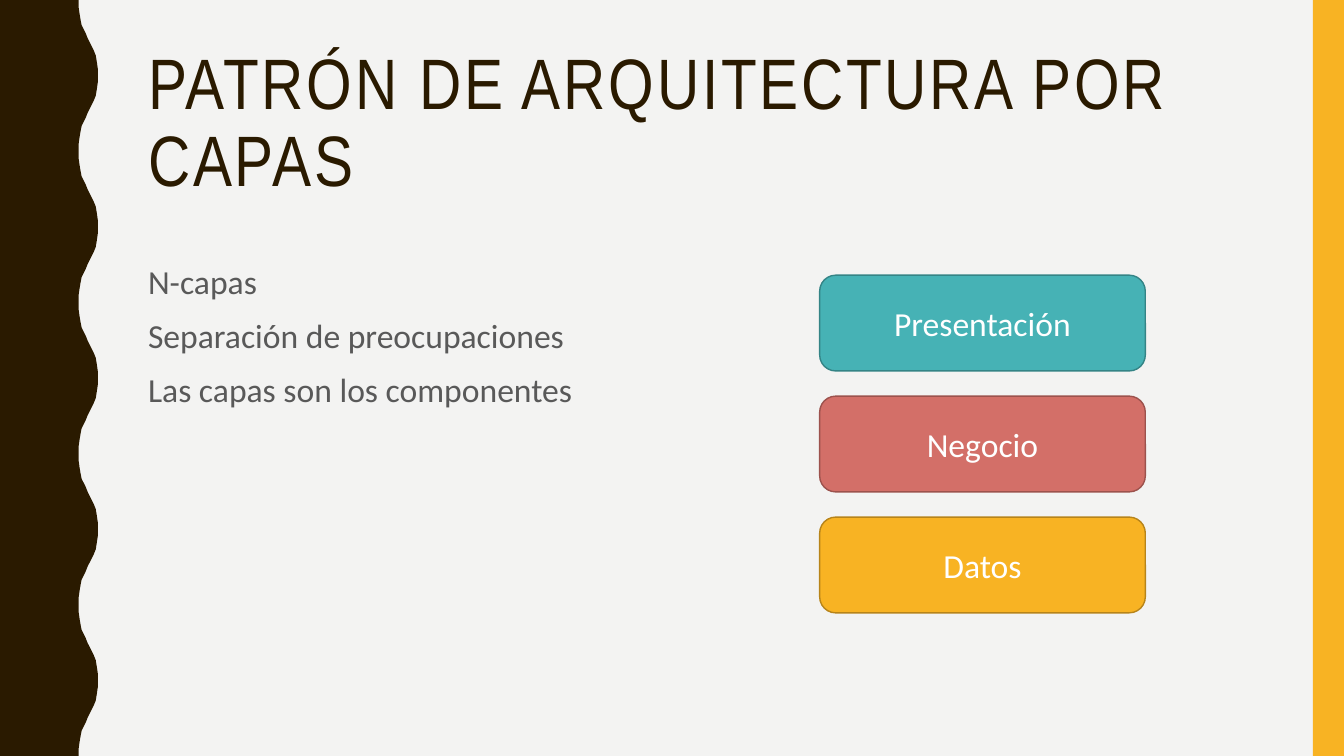
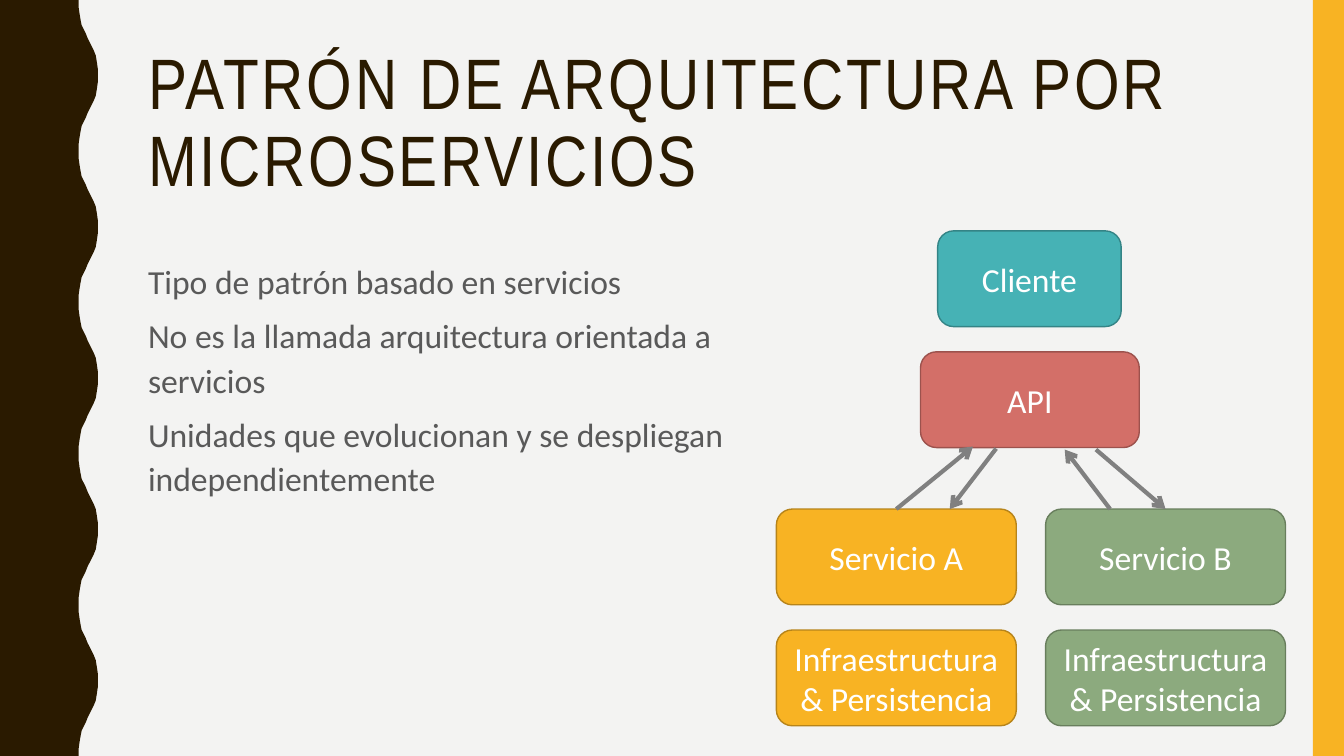
import pptx
import pptx.dml.color
import pptx.enum.shapes
import pptx.enum.text
import pptx.oxml
import pptx.oxml.ns
import pptx.util
from lxml import etree

Inches = pptx.util.Inches
Pt = pptx.util.Pt
RGBColor = pptx.dml.color.RGBColor
Shape = pptx.enum.shapes.MSO_SHAPE
Anchor = pptx.enum.text.MSO_ANCHOR
Align = pptx.enum.text.PP_ALIGN
qn = pptx.oxml.ns.qn

BROWN = RGBColor(0x2A, 0x1A, 0x00)
PAPER = RGBColor(0xF3, 0xF3, 0xF2)
TEXT_GRAY = RGBColor(0x59, 0x59, 0x59)
ARROW_GRAY = RGBColor(0x80, 0x80, 0x80)
WHITE = RGBColor(0xFF, 0xFF, 0xFF)
YELLOW = RGBColor(0xF8, 0xB3, 0x23)
YELLOW_EDGE = RGBColor(0xB7, 0x84, 0x1A)
TEAL = RGBColor(0x46, 0xB2, 0xB5)
TEAL_EDGE = RGBColor(0x34, 0x84, 0x86)
RED = RGBColor(0xD3, 0x6F, 0x68)
RED_EDGE = RGBColor(0x9C, 0x52, 0x4D)
GREEN = RGBColor(0x8C, 0xAA, 0x7E)
GREEN_EDGE = RGBColor(0x68, 0x7E, 0x5D)

HEIGHT = 7.5
BOX_HEIGHT = 0.95
WAVE_PERIOD = 1.5
# Outward half of one wave, as (x, y); the other half mirrors it.
WAVE_HALF = [
    (0.78, 0), (0.78, 0.07), (0.79, 0.14), (0.8, 0.2), (0.81, 0.25),
    (0.83, 0.29), (0.85, 0.33), (0.87, 0.38), (0.89, 0.42), (0.91, 0.46),
    (0.93, 0.5), (0.95, 0.55), (0.96, 0.61), (0.97, 0.68), (0.97, 0.75),
]
wave = WAVE_HALF + [(x, WAVE_PERIOD - y) for x, y in reversed(WAVE_HALF[:-1])]
edge = [
    (Inches(x), Inches(y + period * WAVE_PERIOD))
    for period in range(round(HEIGHT / WAVE_PERIOD))
    for x, y in wave
]

TITLE_STYLE = {
    "frame": {"vertical_anchor": Anchor.MIDDLE},
    "para": {"alignment": Align.LEFT, "line_spacing": 0.9},
    "font": {"name": "Arial Narrow", "size": Pt(51)},
    "color": {"rgb": BROWN},
}
BODY_STYLE = {
    "frame": {"vertical_anchor": Anchor.TOP},
    "para": {"alignment": Align.LEFT, "line_spacing": 1.1, "space_before": Pt(7)},
    "font": {"name": "Calibri", "size": Pt(24)},
    "color": {"rgb": TEXT_GRAY},
}
BOX_STYLE = {
    "frame": {"vertical_anchor": Anchor.MIDDLE},
    "para": {"alignment": Align.CENTER},
    "font": {"name": "Calibri", "size": Pt(24)},
    "color": {"rgb": WHITE},
}

# Boxes: text, left, top, width, fill, edge. Arrows: from x, from y, to x, to y.
PAGES = [
    {
        "title": "PATRÓN DE ARQUITECTURA POR CAPAS",
        "body_width": 5.61,
        "body": [
            "N-capas",
            "Separación de preocupaciones",
            "Las capas son los componentes",
        ],
        "boxes": [
            ("Presentación", 8.13, 2.73, 3.23, TEAL, TEAL_EDGE),
            ("Negocio", 8.13, 3.93, 3.23, RED, RED_EDGE),
            ("Datos", 8.13, 5.13, 3.23, YELLOW, YELLOW_EDGE),
        ],
        "arrows": [],
    },
    {
        "title": "PATRÓN DE ARQUITECTURA POR MICROSERVICIOS",
        "body_width": 6.33,
        "body": [
            "Tipo de patrón basado en servicios",
            "No es la llamada arquitectura orientada a servicios",
            "Unidades que evolucionan y se despliegan independientemente",
        ],
        "boxes": [
            ("Cliente", 9.3, 2.29, 1.82, TEAL, TEAL_EDGE),
            ("API", 9.13, 3.49, 2.17, RED, RED_EDGE),
            ("Servicio A", 7.7, 5.05, 2.38, YELLOW, YELLOW_EDGE),
            ("Infraestructura & Persistencia", 7.7, 6.25, 2.38, YELLOW, YELLOW_EDGE),
            ("Servicio B", 10.37, 5.05, 2.38, GREEN, GREEN_EDGE),
            ("Infraestructura & Persistencia", 10.37, 6.25, 2.38, GREEN, GREEN_EDGE),
        ],
        "arrows": [
            (8.89, 5.05, 9.65, 4.43),
            (9.88, 4.45, 9.42, 5.05),
            (11.01, 5.05, 10.56, 4.46),
            (10.87, 4.46, 11.56, 5.05),
        ],
    },
]


def write_text(box, lines, style):
    """Fill a box with one paragraph per line, formatted from a style dict."""
    frame = box.text_frame
    frame.text = "\n".join(lines)
    frame.word_wrap = True
    frame.auto_size = pptx.enum.text.MSO_AUTO_SIZE.NONE
    targets = [(frame, "frame")]
    for para in frame.paragraphs:
        targets.append((para, "para"))
        for span in para.runs:
            targets += [(span.font, "font"), (span.font.color, "color")]
    for target, part in targets:
        for name, value in style[part].items():
            setattr(target, name, value)
    frame.paragraphs[0].space_before = Pt(0)


def paint(shape, fill, line=None):
    shape.shadow.inherit = False
    shape.fill.solid()
    shape.fill.fore_color.rgb = fill
    if line is None:
        shape.line.fill.background()
    else:
        shape.line.color.rgb = line
        shape.line.width = Pt(1)


deck = pptx.Presentation()
deck.slide_width = Inches(13.33)
deck.slide_height = Inches(HEIGHT)
backdrop = deck.slide_master.background.fill
backdrop.solid()
backdrop.fore_color.rgb = PAPER
title_only = deck.slide_layouts[5]

for content in PAGES:
    page = deck.slides.add_slide(title_only)

    outline = page.shapes.build_freeform(0, 0)
    outline.add_line_segments(edge + [(0, Inches(HEIGHT))], close=True)
    paint(outline.convert_to_shape(), BROWN)
    band = page.shapes.add_shape(
        Shape.RECTANGLE, Inches(13.02), 0, Inches(0.31), Inches(HEIGHT))
    paint(band, YELLOW)

    title = page.shapes.title
    place = {"left": 1.37, "top": 0.42, "width": 11.13, "height": 1.63}
    for name, value in place.items():
        setattr(title, name, Inches(value))
    write_text(title, [content["title"]], TITLE_STYLE)
    for properties in title.element.iter(qn("a:rPr")):
        properties.set("spc", "200")

    body = page.shapes.add_textbox(
        Inches(1.37), Inches(2.5), Inches(content["body_width"]), Inches(3.93))
    write_text(body, content["body"], BODY_STYLE)

    for text, left, top, width, fill, line in content["boxes"]:
        box = page.shapes.add_shape(
            Shape.ROUNDED_RECTANGLE,
            Inches(left), Inches(top), Inches(width), Inches(BOX_HEIGHT))
        paint(box, fill, line)
        write_text(box, [text], BOX_STYLE)

    for ends in content["arrows"]:
        arrow = page.shapes.add_connector(
            pptx.enum.shapes.MSO_CONNECTOR.STRAIGHT, *map(Inches, ends))
        arrow.line.color.rgb = ARROW_GRAY
        arrow.line.width = Pt(3)
        properties = arrow.element.spPr
        etree.SubElement(properties.find(qn("a:ln")), qn("a:tailEnd"), type="arrow")
        etree.SubElement(properties, qn("a:effectLst"))

deck.save("out.pptx")
